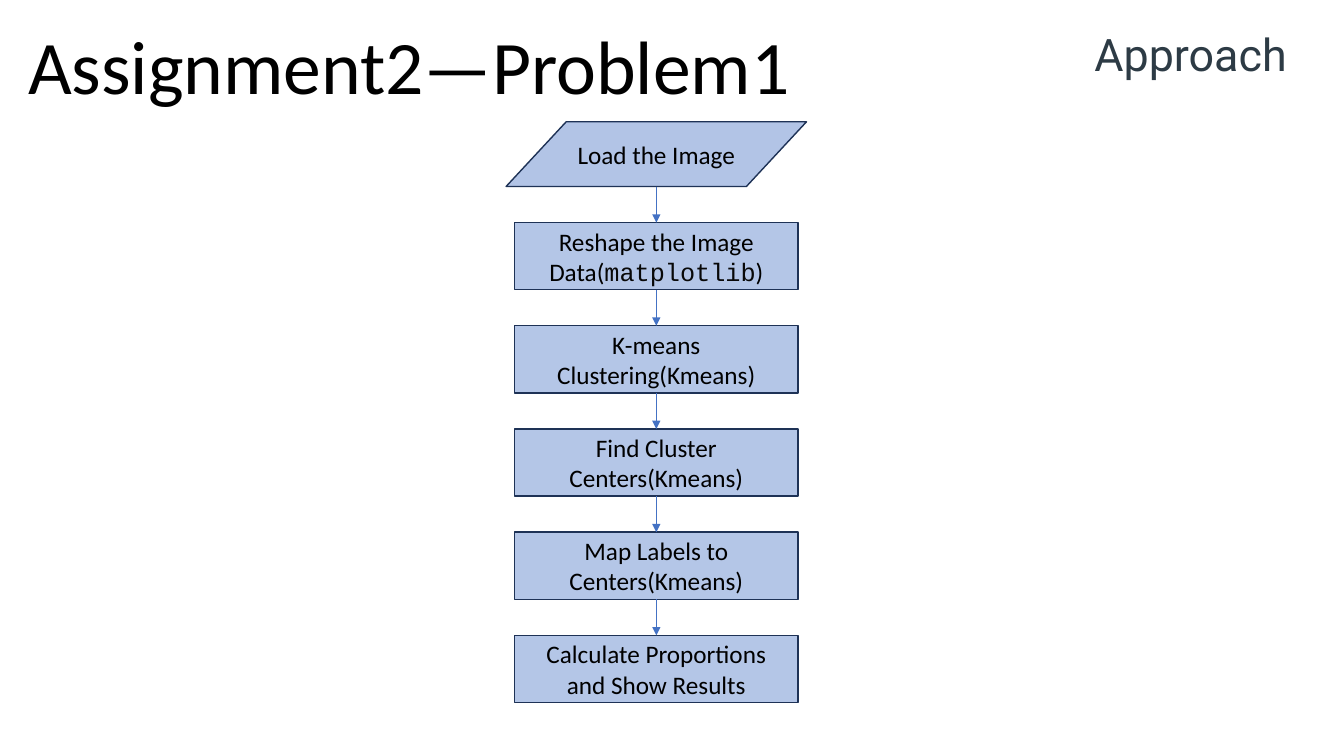
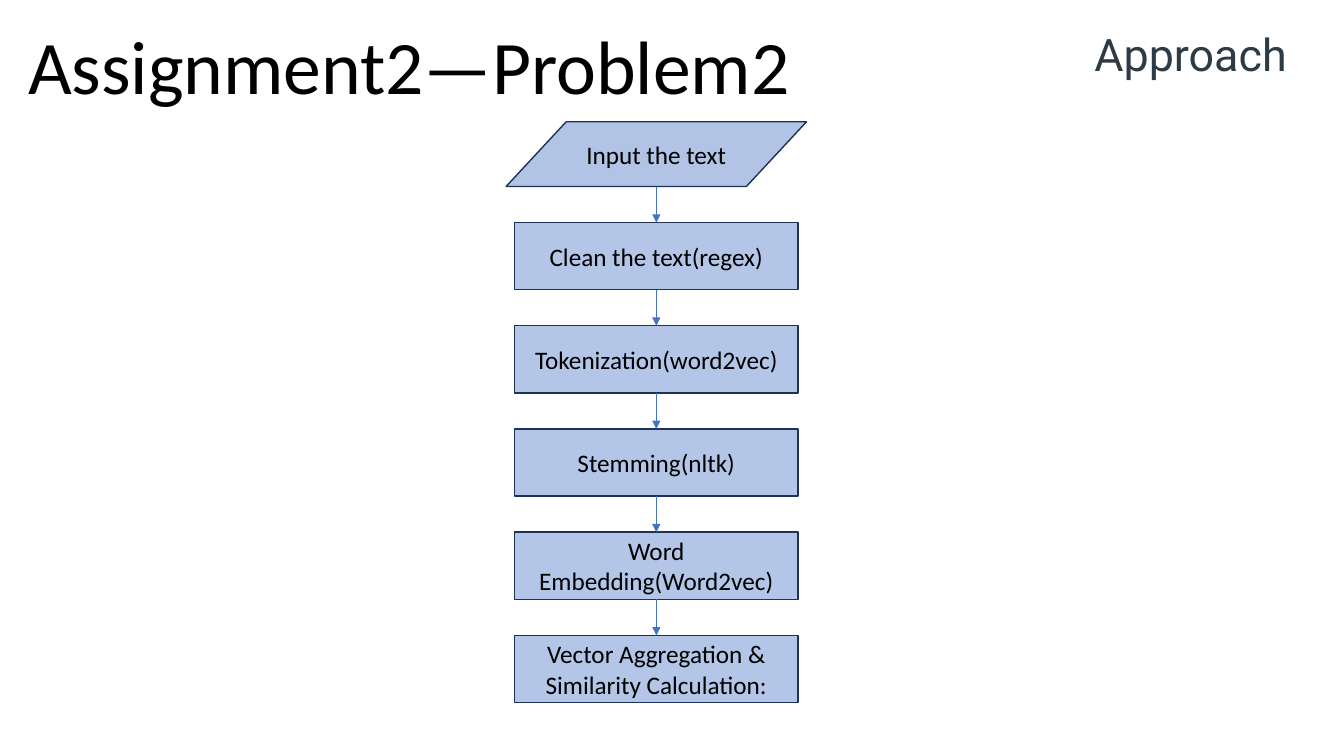
"""Build two flowchart slides that outline the approach to each assignment problem."""
from lxml import etree
from pptx import Presentation
from pptx.dml.color import RGBColor
from pptx.enum.shapes import MSO_CONNECTOR, MSO_SHAPE
from pptx.enum.text import MSO_ANCHOR, MSO_AUTO_SIZE, PP_ALIGN
from pptx.oxml.ns import qn
from pptx.util import Cm, Pt

STRAIGHT = MSO_CONNECTOR.STRAIGHT
INPUT_SHAPE = MSO_SHAPE.FLOWCHART_DATA
STEP_SHAPE = MSO_SHAPE.FLOWCHART_PROCESS
MIDDLE, BOTTOM = MSO_ANCHOR.MIDDLE, MSO_ANCHOR.BOTTOM
CENTER = PP_ALIGN.CENTER
GROW = MSO_AUTO_SIZE.SHAPE_TO_FIT_TEXT
TOP_SIDE, BOTTOM_SIDE = 0, 2

BLACK = RGBColor(0x00, 0x00, 0x00)
CODE_BLACK = RGBColor(0x08, 0x08, 0x08)
SLATE = RGBColor(0x2D, 0x3B, 0x45)
BLUE = RGBColor(0x44, 0x72, 0xC4)
NAVY = RGBColor(0x1E, 0x32, 0x56)

CENTER_X = 16.54
INPUT_TOP, INPUT_WIDTH, INPUT_HEIGHT = 3.07, 7.57, 1.63
STEP_TOP, STEP_WIDTH, STEP_HEIGHT = 5.61, 7.14, 1.69
STEP_PITCH = 2.6
CODE_WORD = "matplotlib"

PROBLEMS = [
    ("Assignment2—Problem1", [
        "Load the Image",
        "Reshape the Image Data(matplotlib)",
        "K-means Clustering(Kmeans)",
        "Find Cluster Centers(Kmeans)",
        "Map Labels to Centers(Kmeans)",
        "Calculate Proportions and Show Results",
    ]),
    ("Assignment2—Problem2", [
        "Input the text",
        "Clean the text(regex)",
        "Tokenization(word2vec)",
        "Stemming(nltk)",
        "Word Embedding(Word2vec)",
        "Vector Aggregation & Similarity Calculation:",
    ]),
]


def write(paragraph, text, size=18, font="Calibri", color=BLACK):
    """Append a formatted run to a paragraph."""
    run = paragraph.add_run()
    run.text = text
    run.font.size = Pt(size)
    run.font.name = font
    run.font.color.rgb = color


prs = Presentation()
prs.slide_width, prs.slide_height = Cm(33.87), Cm(19.05)

for heading, steps in PROBLEMS:
    slide = prs.slides.add_slide(prs.slide_layouts[6])

    title = slide.shapes.add_textbox(Cm(0.46), Cm(1.12), Cm(32.84), Cm(1.8)).text_frame
    title.word_wrap = True
    title.vertical_anchor = BOTTOM
    title.paragraphs[0].line_spacing = 0.9
    write(title.paragraphs[0], heading, size=54)

    section = slide.shapes.add_textbox(Cm(27.33), Cm(0.56), Cm(5.44), Cm(1.62)).text_frame
    section.word_wrap = True
    section.auto_size = GROW
    write(section.paragraphs[0], "Approach", size=32, font="Roboto", color=SLATE)

    previous = None
    for index, step in enumerate(steps):
        if index == 0:
            kind, top, width, height = INPUT_SHAPE, INPUT_TOP, INPUT_WIDTH, INPUT_HEIGHT
        else:
            kind, width, height = STEP_SHAPE, STEP_WIDTH, STEP_HEIGHT
            top = STEP_TOP + (index - 1) * STEP_PITCH
        box = slide.shapes.add_shape(
            kind, Cm(CENTER_X - width / 2), Cm(top), Cm(width), Cm(height))
        box.shadow.inherit = False
        box.fill.solid()
        box.fill.fore_color.rgb = BLUE
        fill_color = box.fill._xPr.find(qn("a:solidFill"))[0]
        etree.SubElement(fill_color, qn("a:alpha")).set("val", "41000" if index == 0 else "40000")
        box.line.color.rgb = NAVY
        box.line.width = Pt(1)

        box.text_frame.word_wrap = True
        box.text_frame.vertical_anchor = MIDDLE
        label = box.text_frame.paragraphs[0]
        label.alignment = CENTER
        before, code, after = step.partition(CODE_WORD)
        write(label, before)
        if code:
            write(label, code, font="Courier New", color=CODE_BLACK)
            write(label, after)

        if previous is not None:
            arrow = slide.shapes.add_connector(
                STRAIGHT, Cm(CENTER_X), previous.top + previous.height, Cm(CENTER_X), box.top)
            if index > 1:
                arrow.begin_connect(previous, BOTTOM_SIDE)
            arrow.end_connect(box, TOP_SIDE)
            arrow.line.color.rgb = BLUE
            arrow.line.width = Pt(0.5)
            arrow_line = arrow.line._get_or_add_ln()
            etree.SubElement(arrow_line, qn("a:tailEnd")).set("type", "triangle")
            etree.SubElement(arrow_line.getparent(), qn("a:effectLst"))
        previous = box

prs.save("out.pptx")
